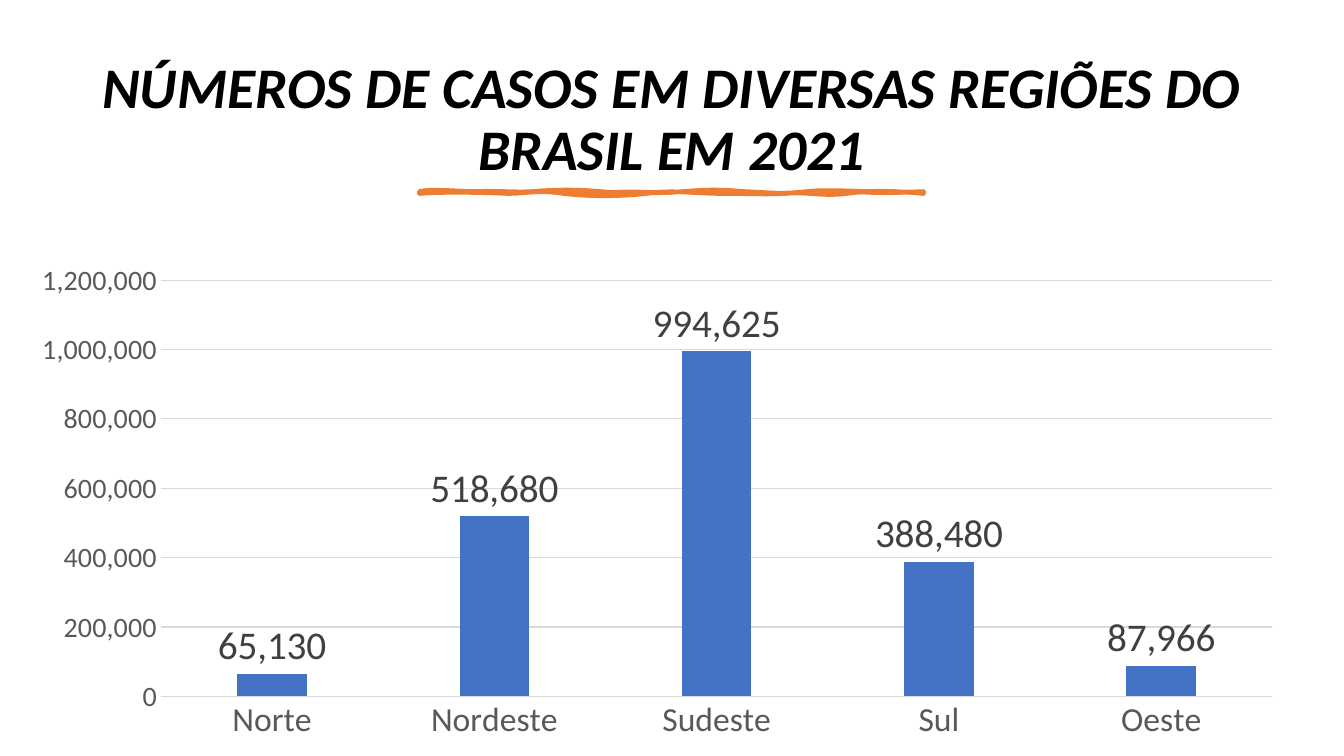
import pptx
import pptx.chart.data
import pptx.dml.color
import pptx.enum.chart
import pptx.enum.text
import pptx.oxml
import pptx.oxml.ns
import pptx.util

Inches, Pt = pptx.util.Inches, pptx.util.Pt
qn, nsdecls = pptx.oxml.ns.qn, pptx.oxml.ns.nsdecls
FONT = "Calibri"
COLORS = {"title": "000000", "underline": "ED7D31", "bar": "4472C4",
          "axis": "595959", "label": "404040", "grid": "D9D9D9"}
CASES = {"Norte": 65130, "Nordeste": 518680, "Sudeste": 994625,
         "Sul": 388480, "Oeste": 87966}
PLOT_AREA = {"layoutTarget": "inner", "xMode": "edge", "yMode": "edge",
             "x": 0.14, "y": 0.165, "w": 0.827, "h": 0.732}

# Hand-drawn underline: each curve is two control points and an end point
LEFT, TOP, RIGHT, BOTTOM = 4.16, 1.9, 9.16, 1.92
STROKE_CURVES = [
    (4.28, 1.87, 4.54, 1.9, 4.73, 1.9), (4.92, 1.89, 5.09, 1.91, 5.29, 1.9),
    (5.49, 1.88, 5.74, 1.88, 5.96, 1.9), (6.17, 1.92, 6.53, 1.92, 6.77, 1.9),
    (7.02, 1.88, 7.14, 1.88, 7.39, 1.9), (7.63, 1.91, 7.74, 1.93, 8, 1.9),
    (8.26, 1.87, 8.67, 1.92, 9.16, 1.9), (9.17, 1.91, 9.16, 1.91, 9.16, 1.92),
    (8.95, 1.9, 8.65, 1.88, 8.4, 1.92), (8.15, 1.95, 8.01, 1.9, 7.79, 1.92),
    (7.56, 1.93, 7.47, 1.92, 7.17, 1.92), (6.87, 1.92, 6.67, 1.88, 6.41, 1.92),
    (6.14, 1.95, 5.85, 1.95, 5.59, 1.92), (5.34, 1.88, 5.23, 1.92, 5.03, 1.92),
    (4.83, 1.91, 4.38, 1.9, 4.16, 1.92), (4.16, 1.91, 4.16, 1.9, 4.16, 1.9),
]
FILL_CURVES = [
    (4.32, 1.89, 4.52, 1.88, 4.78, 1.9), (5.03, 1.91, 5.08, 1.92, 5.34, 1.9),
    (5.6, 1.88, 5.74, 1.92, 5.96, 1.9), (6.18, 1.87, 6.39, 1.88, 6.67, 1.9),
    (6.95, 1.91, 7.24, 1.87, 7.44, 1.9), (7.63, 1.92, 8.02, 1.88, 8.25, 1.9),
    (8.48, 1.91, 8.72, 1.93, 9.16, 1.9), (9.16, 1.9, 9.16, 1.91, 9.16, 1.92),
    (8.79, 1.94, 8.76, 1.94, 8.4, 1.92), (8.04, 1.89, 7.96, 1.91, 7.59, 1.92),
    (7.21, 1.92, 7.16, 1.88, 6.77, 1.92), (6.39, 1.96, 6.37, 1.9, 6.21, 1.92),
    (6.04, 1.93, 5.72, 1.93, 5.44, 1.92), (5.17, 1.9, 5.04, 1.91, 4.78, 1.92),
    (4.52, 1.92, 4.41, 1.89, 4.16, 1.92), (4.16, 1.91, 4.16, 1.9, 4.16, 1.9),
]


def color(name):
    return pptx.dml.color.RGBColor.from_string(COLORS[name])


def style_font(font, size, color_name):
    font.name = FONT
    font.size = Pt(size)
    font.color.rgb = color(color_name)


deck = pptx.Presentation()
deck.slide_width, deck.slide_height = Inches(13.33), Inches(7.5)
page = deck.slides.add_slide(deck.slide_layouts[0])
subtitle = page.placeholders[1].element
subtitle.getparent().remove(subtitle)

# Title
title = page.shapes.title
title.left, title.top = Inches(0.35), Inches(0.51)
title.width, title.height = Inches(12.63), Inches(1.37)
frame = title.text_frame
frame.text = "NÚMEROS DE CASOS EM DIVERSAS REGIÕES DO BRASIL EM 2021"
frame.word_wrap = True
frame.auto_size = pptx.enum.text.MSO_AUTO_SIZE.NONE
frame.vertical_anchor = pptx.enum.text.MSO_ANCHOR.MIDDLE
para = frame.paragraphs[0]
para.alignment = pptx.enum.text.PP_ALIGN.CENTER
para.line_spacing = 0.9
style_font(para.font, 41, "title")
para.font.bold = para.font.italic = True

# Underline: a freeform box whose outline becomes one stroked and one filled path
builder = page.shapes.build_freeform(Inches(LEFT), Inches(TOP))
builder.add_line_segments([(Inches(RIGHT), Inches(TOP)), (Inches(RIGHT), Inches(BOTTOM)),
                           (Inches(LEFT), Inches(BOTTOM))], close=True)
underline = builder.convert_to_shape()
underline.shadow.inherit = False
underline.fill.solid()
underline.fill.fore_color.rgb = color("underline")
underline.line.color.rgb = color("underline")
underline.line.width = Pt(3.25)
path_list = underline.element.find(".//" + qn("a:pathLst"))
path_list.remove(path_list[0])
for curves, mode in ((STROKE_CURVES, 'fill="none"'), (FILL_CURVES, 'stroke="0"')):
    commands = '<a:moveTo><a:pt x="0" y="0"/></a:moveTo>'
    for curve in curves:
        spots = "".join(f'<a:pt x="{Inches(x - LEFT)}" y="{Inches(y - TOP)}"/>'
                        for x, y in zip(curve[::2], curve[1::2]))
        commands += f"<a:cubicBezTo>{spots}</a:cubicBezTo>"
    path_list.append(pptx.oxml.parse_xml(
        f'<a:path {nsdecls("a")} w="{underline.width}" h="{underline.height}" {mode}>'
        f"{commands}<a:close/></a:path>"))

# Chart
chart_data = pptx.chart.data.CategoryChartData(number_format="#,##0")
chart_data.categories = list(CASES)
chart_data.add_series("Series 1", list(CASES.values()))
chart = page.shapes.add_chart(
    pptx.enum.chart.XL_CHART_TYPE.COLUMN_CLUSTERED,
    Inches(-0.27), Inches(1.85), Inches(13.33), Inches(5.64), chart_data).chart
chart.has_legend = chart.has_title = False
style_font(chart.font, 10, "title")

plot = chart.plots[0]
plot.gap_width, plot.overlap = 219, -27
plot.vary_by_categories = False
bars = plot.series[0]
bars.format.fill.solid()
bars.format.fill.fore_color.rgb = color("bar")
labels = bars.data_labels
labels.show_value = True
labels.position = pptx.enum.chart.XL_LABEL_POSITION.OUTSIDE_END
labels.number_format, labels.number_format_is_linked = "#,##0", False
style_font(labels.font, 28, "label")

for axis, size in ((chart.category_axis, 24), (chart.value_axis, 20)):
    axis.major_tick_mark = axis.minor_tick_mark = pptx.enum.chart.XL_TICK_MARK.NONE
    style_font(axis.tick_labels.font, size, "axis")
values = chart.value_axis
values.tick_labels.number_format = "#,##0"
values.tick_labels.number_format_is_linked = False
values.format.line.fill.background()
values.has_major_gridlines = True
for line in (values.major_gridlines.format.line, chart.category_axis.format.line):
    line.color.rgb = color("grid")
    line.width = Pt(0.75)

# Fixed inner plot area, as fractions of the chart
plot_area = chart.element.find(".//" + qn("c:plotArea"))
for layout in plot_area.findall(qn("c:layout")):
    plot_area.remove(layout)
entries = "".join(f'<c:{tag} val="{value}"/>' for tag, value in PLOT_AREA.items())
plot_area.insert(0, pptx.oxml.parse_xml(
    f'<c:layout {nsdecls("c")}><c:manualLayout>{entries}</c:manualLayout></c:layout>'))

deck.save("out.pptx")
